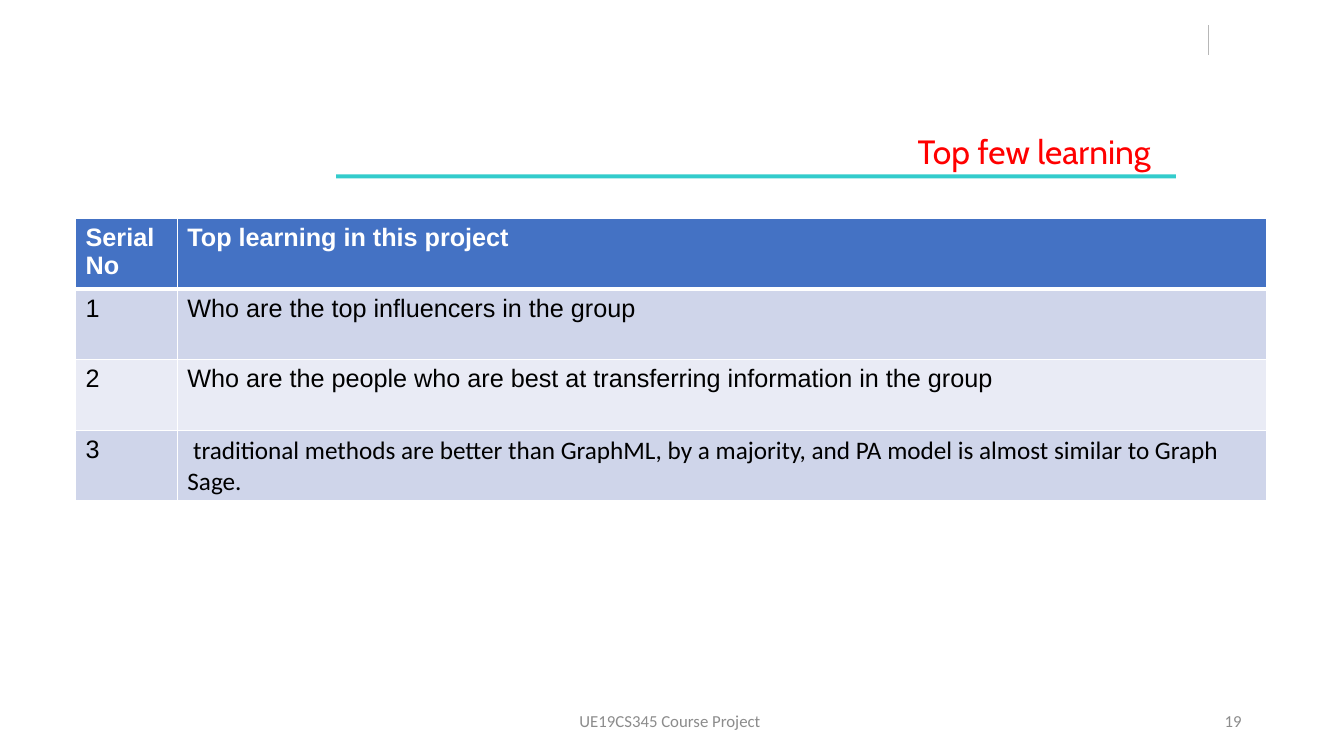
from dataclasses import dataclass

from lxml import etree
from pptx import Presentation
from pptx.dml.color import RGBColor
from pptx.enum.shapes import MSO_CONNECTOR, MSO_SHAPE
from pptx.enum.text import MSO_ANCHOR, PP_ALIGN
from pptx.oxml.ns import qn
from pptx.util import Pt

LEFT, CENTER, RIGHT = PP_ALIGN.LEFT, PP_ALIGN.CENTER, PP_ALIGN.RIGHT
TOP, MIDDLE = MSO_ANCHOR.TOP, MSO_ANCHOR.MIDDLE
RECT, STRAIGHT = MSO_SHAPE.RECTANGLE, MSO_CONNECTOR.STRAIGHT


@dataclass(frozen=True)
class Theme:
    """Colours, fonts and type sizes of the slide."""
    title: str = "FF0000"
    rule: str = "33CCCC"
    tick: str = "B7B7B7"
    header: str = "4472C4"
    bands: tuple = ("CFD5EA", "E9EBF5")
    white: str = "FFFFFF"
    ink: str = "000000"
    footer: str = "8C8C8C"
    title_font: str = "Cabin"
    table_font: str = "Arial"
    note_font: str = "Calibri"
    title_size: int = 24
    table_size: int = 18
    footer_size: int = 12


THEME = Theme()
ROWS = [
    ("Serial\nNo", "Top learning in this project"),
    ("1", "Who are the top influencers in the group"),
    ("2", "Who are the people who are best at transferring information in the group"),
    ("3", " traditional methods are better than GraphML, by a majority, "
          "and PA model is almost similar to Graph Sage."),
]


def rgb(value):
    """Turn a hex string into a colour."""
    return RGBColor.from_string(value)


def write(tf, text, font, size, color, align=LEFT, bold=False):
    """Put formatted text into a text frame."""
    tf.text = text
    for p in tf.paragraphs:
        p.alignment = align
        for r in p.runs:
            r.font.name, r.font.size, r.font.bold = font, Pt(size), bold
            r.font.color.rgb = rgb(color)


def add_text(slide, box, text, font, size, color, align, anchor=TOP, right=7.2):
    """Add a wrapped text box."""
    tf = slide.shapes.add_textbox(*map(Pt, box)).text_frame
    tf.word_wrap = True
    tf.vertical_anchor = anchor
    tf.margin_right = Pt(right)
    write(tf, text, font, size, color, align)


def add_tick(slide, x, y, h):
    """Draw the thin vertical line at the top right."""
    line = slide.shapes.add_connector(STRAIGHT, Pt(x), Pt(y), Pt(x), Pt(y + h))
    line.line.color.rgb = rgb(THEME.tick)
    line.line.width = Pt(0.75)
    etree.SubElement(line._element.spPr, qn("a:effectLst"))


def add_title(slide, x, y, w, h):
    """Draw the title and the coloured rule beneath it."""
    sp = slide.shapes.add_shape(RECT, Pt(x + 12), Pt(y + 34.5), Pt(w - 12), Pt(3))
    sp.shadow.inherit = False
    sp.fill.solid()
    sp.fill.fore_color.rgb = rgb(THEME.rule)
    sp.line.fill.background()
    add_text(slide, (x, y, w, h), "Top few learning", THEME.title_font,
             THEME.title_size, THEME.title, RIGHT, right=18)


def set_borders(cell, top, bottom):
    """Give a cell white borders of the stated widths."""
    pr = cell._tc.get_or_add_tcPr()
    for side, width in (("L", 1), ("R", 1), ("T", top), ("B", bottom)):
        ln = etree.SubElement(pr, qn(f"a:ln{side}"), w=str(Pt(width)))
        fill = etree.SubElement(ln, qn("a:solidFill"))
        etree.SubElement(fill, qn("a:srgbClr"), val=THEME.white)


def add_learning_table(slide, x, y, w, h):
    """Draw the banded table of learnings."""
    serial_w = 72.7
    table = slide.shapes.add_table(len(ROWS), 2, Pt(x), Pt(y), Pt(w), Pt(h)).table
    table.columns[0].width = Pt(serial_w)
    table.columns[1].width = Pt(w - serial_w)
    for i, row in enumerate(ROWS):
        table.rows[i].height = Pt(h / len(ROWS))
        head = i == 0
        for j, text in enumerate(row):
            cell = table.cell(i, j)
            set_borders(cell, 3 if i == 1 else 1, 3 if head else 1)
            cell.fill.solid()
            cell.fill.fore_color.rgb = rgb(THEME.header if head else THEME.bands[(i - 1) % 2])
            last = (i, j) == (len(ROWS) - 1, 1)
            write(cell.text_frame, text, THEME.note_font if last else THEME.table_font,
                  THEME.table_size, THEME.white if head else THEME.ink, bold=head)


def add_footer(slide, x, y, w, h):
    """Draw the course name and the page number."""
    style = THEME.note_font, THEME.footer_size, THEME.footer
    add_text(slide, (x, y, 324, h), "UE19CS345 Course Project ", *style, CENTER, MIDDLE)
    add_text(slide, (x + w - 216, y, 216, h), "19", *style, RIGHT, MIDDLE)


def main():
    """Build and save the slide."""
    prs = Presentation()
    prs.slide_width, prs.slide_height = Pt(960), Pt(540)
    slide = prs.slides.add_slide(prs.slide_layouts[6])
    add_tick(slide, 863.3, 18, 21.6)
    add_title(slide, 228, 90, 612, 36)
    add_learning_table(slide, 54, 156.2, 851, 201.6)
    add_footer(slide, 318, 500.5, 576, 28.8)
    prs.save("out.pptx")


if __name__ == "__main__":
    main()
